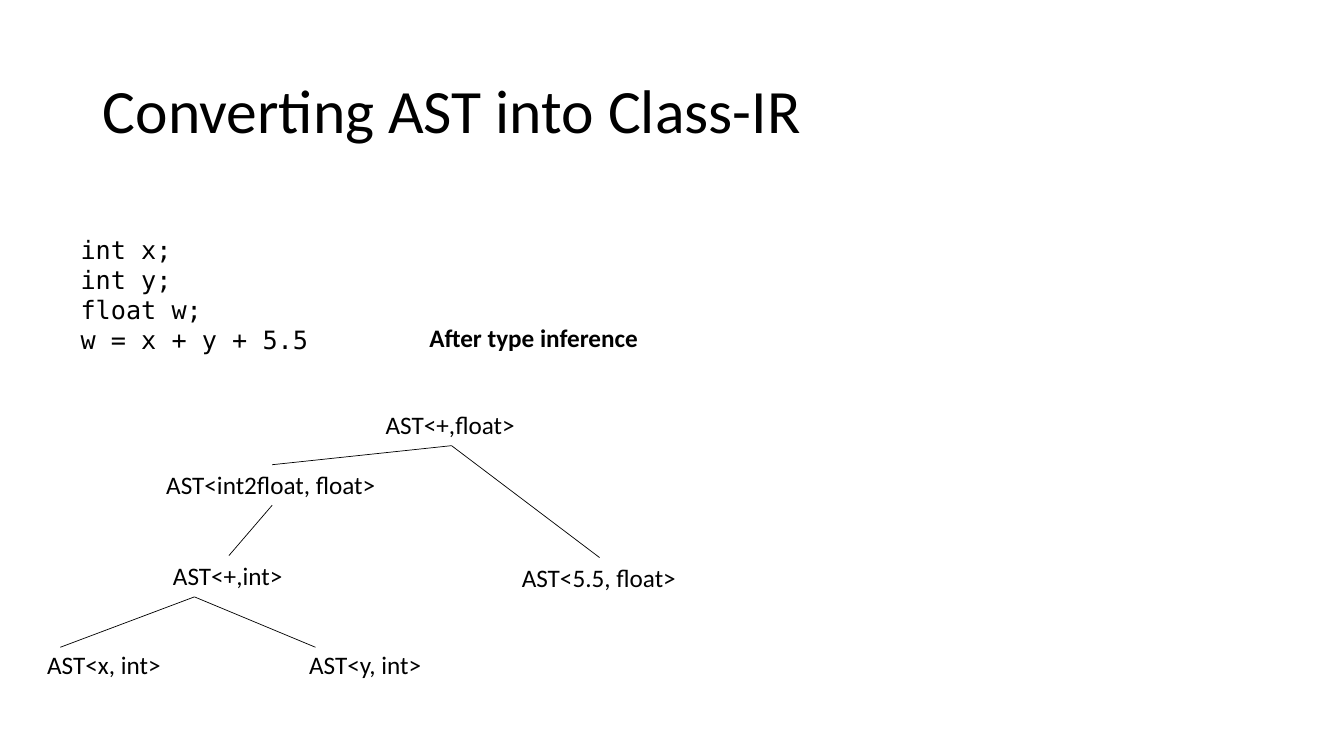
from lxml.etree import SubElement
from pptx import Presentation
from pptx.dml.color import RGBColor
from pptx.enum.shapes import MSO_CONNECTOR as Connector
from pptx.enum.text import MSO_ANCHOR as Anchor, MSO_AUTO_SIZE as AutoSize, PP_ALIGN as Align
from pptx.oxml.ns import qn
from pptx.util import Cm, Pt

COLORS = {"ink": "000000", "paper": "FFFFFF"}
BODY_FONT = "Calibri"
CODE_FONT = "DejaVu Sans Mono"
LABEL_HEIGHT = 1.02

# \v is a line break inside a paragraph
SOURCE_CODE = "int x;\nint y;\nfloat w;\vw = x + y + 5.5"

# Tree nodes: text, left, top, width in cm
NODES = [
    ("AST<+,float>", 9.47, 10.19, 3.81),
    ("AST<int2float, float>", 3.94, 11.71, 5.84),
    ("AST<5.5, float>", 12.9, 14.05, 4.45),
    ("AST<+,int>", 4.11, 14, 3.3),
    ("AST<x, int>", 0.94, 16.23, 3.4),
    ("AST<y, int>", 7.54, 16.23, 3.38),
]

# Tree edges: foot of the parent, then the heads of its children, in cm
EDGES = [
    ((11.38, 11.23), [(6.86, 11.71), (15.11, 14.05)]),
    ((6.86, 12.73), [(5.77, 14)]),
    ((4.9, 15.04), [(1.52, 16.31), (7.95, 16.31)]),
]


def color(name):
    return RGBColor.from_string(COLORS[name])


def write_text(frame, text, size=18, font=BODY_FONT, bold=False, spacing=None):
    frame.text = text
    for paragraph in frame.paragraphs:
        paragraph.alignment = Align.LEFT
        if spacing:
            paragraph.line_spacing = spacing
        for run in paragraph.runs:
            run.font.name = font
            run.font.size = Pt(size)
            run.font.bold = bold
            run.font.color.rgb = color("ink")


def place_title(slide, text):
    title = slide.shapes.title
    title.left, title.top = Cm(2.34), Cm(1.02)
    title.width, title.height = Cm(29.21), Cm(3.68)
    title.text_frame.vertical_anchor = Anchor.MIDDLE
    write_text(title.text_frame, text, size=44, spacing=0.9)


def add_label(slide, text, left, top, width, height=LABEL_HEIGHT, **text_format):
    label = slide.shapes.add_textbox(Cm(left), Cm(top), Cm(width), Cm(height))
    label.text_frame.word_wrap = False
    label.text_frame.auto_size = AutoSize.SHAPE_TO_FIT_TEXT
    write_text(label.text_frame, text, **text_format)


def add_edge(slide, parent, child):
    ends = [Cm(value) for value in (*parent, *child)]
    edge = slide.shapes.add_connector(Connector.STRAIGHT, *ends)
    edge.line.color.rgb = color("ink")
    edge.line.width = Pt(0.5)
    SubElement(edge._element.spPr, qn("a:effectLst"))


def main():
    deck = Presentation()
    deck.slide_width, deck.slide_height = Cm(33.87), Cm(19.05)
    slide = deck.slides.add_slide(deck.slide_layouts.get_by_name("Title Only"))
    slide.background.fill.solid()
    slide.background.fill.fore_color.rgb = color("paper")

    # Heading, program and stage
    place_title(slide, "Converting AST into Class-IR")
    add_label(slide, SOURCE_CODE, 1.78, 5.77, 6.25, 3.33, font=CODE_FONT)
    add_label(slide, "After type inference", 10.57, 8, 5.84, bold=True)

    # Typed syntax tree
    for node in NODES:
        add_label(slide, *node)
    for parent, children in EDGES:
        for child in children:
            add_edge(slide, parent, child)

    deck.save("out.pptx")


if __name__ == "__main__":
    main()
